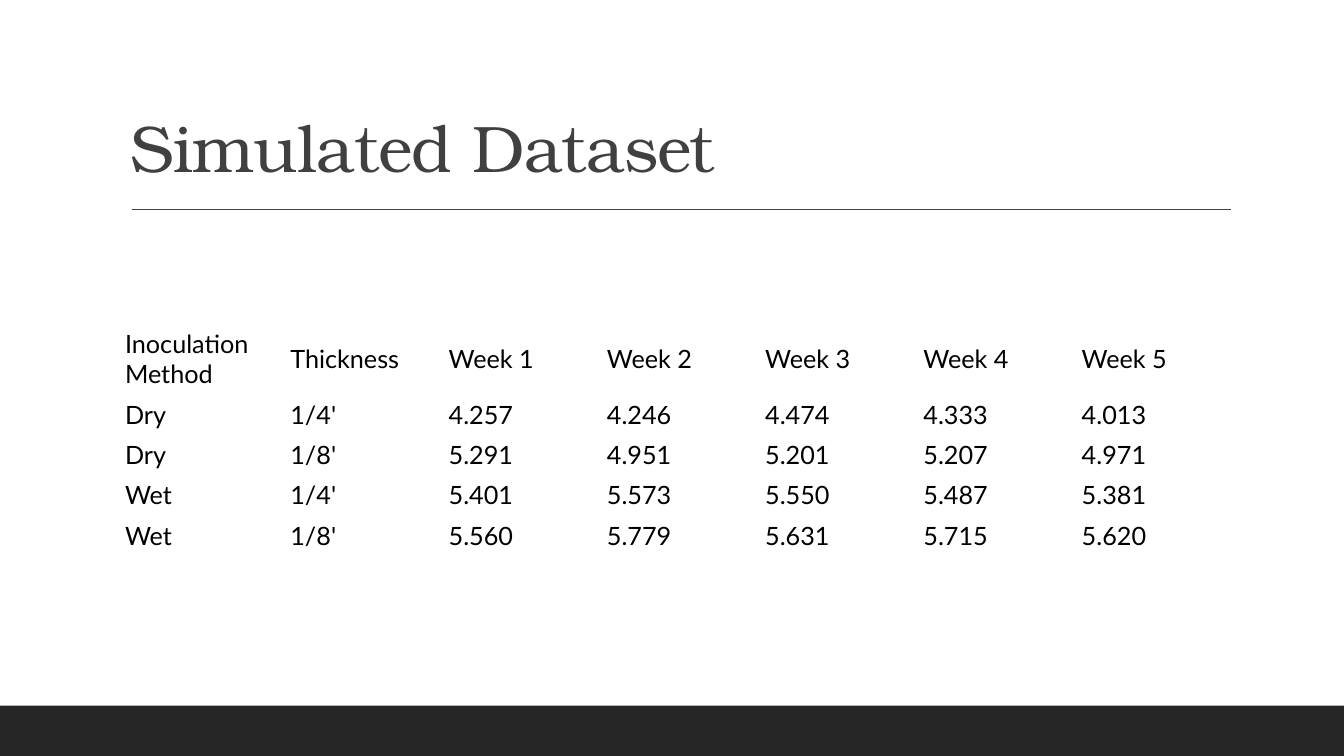
"""Build the simulated dataset slide."""
from lxml import etree
from pptx import Presentation
from pptx import util as u
from pptx.dml.color import RGBColor
from pptx.enum import shapes, text
from pptx.oxml.ns import qn

DATASET = [
    ["Inoculation Method", "Thickness"] + [f"Week {week}" for week in range(1, 6)],
    ["Dry", "1/4'", "4.257", "4.246", "4.474", "4.333", "4.013"],
    ["Dry", "1/8'", "5.291", "4.951", "5.201", "5.207", "4.971"],
    ["Wet", "1/4'", "5.401", "5.573", "5.550", "5.487", "5.381"],
    ["Wet", "1/8'", "5.560", "5.779", "5.631", "5.715", "5.620"],
]


def rgb(value):
    """Return the colour for a hex string."""
    return RGBColor.from_string(value)


def set_font(paragraph, name, size, color):
    """Set the font of a whole paragraph."""
    paragraph.font.name = name
    paragraph.font.size = u.Pt(size)
    paragraph.font.color.rgb = rgb(color)


def add_footer_band(slide, left, top, width, height, color):
    """Add a plain filled band."""
    band = slide.shapes.add_shape(
        shapes.MSO_SHAPE.RECTANGLE,
        u.Inches(left), u.Inches(top), u.Inches(width), u.Inches(height))
    band.shadow.inherit = False
    band.fill.solid()
    band.fill.fore_color.rgb = rgb(color)
    band.line.fill.background()


def add_rule(slide, left, right, y, color):
    """Add a thin horizontal line."""
    rule = slide.shapes.add_connector(
        shapes.MSO_CONNECTOR.STRAIGHT,
        u.Inches(left), u.Inches(y), u.Inches(right), u.Inches(y))
    rule.line.color.rgb = rgb(color)
    rule.line.width = u.Pt(1)
    etree.SubElement(rule._element.spPr, qn("a:effectLst"))


def add_title(slide, wording, left, top, width, height):
    """Add the slide title, resting on the bottom of its box."""
    frame = slide.shapes.add_textbox(
        u.Inches(left), u.Inches(top), u.Inches(width), u.Inches(height)).text_frame
    frame.word_wrap = True
    frame.vertical_anchor = text.MSO_ANCHOR.BOTTOM
    heading = frame.paragraphs[0]
    heading.line_spacing = 0.9
    run = heading.add_run()
    run.text = wording
    run._r.get_or_add_rPr().set("spc", "-50")
    set_font(heading, "TeX Gyre Bonum", 47, "404040")


def add_dataset(slide, rows, left, top, widths, heights):
    """Add the dataset as an unfilled table."""
    table = slide.shapes.add_table(
        len(rows), len(widths), u.Inches(left), u.Inches(top),
        u.Inches(sum(widths)), u.Inches(sum(heights))).table
    table.first_row = table.horz_banding = False
    for column, width in zip(table.columns, widths):
        column.width = u.Inches(width)
    for row, height, values in zip(table.rows, heights, rows):
        row.height = u.Inches(height)
        for cell, value in zip(row.cells, values):
            cell.text = value
            cell.fill.background()
            cell.vertical_anchor = text.MSO_ANCHOR.MIDDLE
            set_font(cell.text_frame.paragraphs[0], "Lato", 18, "000000")


def main():
    """Build and save the slide."""
    deck = Presentation()
    deck.slide_width, deck.slide_height = u.Inches(13.33), u.Inches(7.5)
    slide = deck.slides.add_slide(deck.slide_layouts[6])
    add_footer_band(slide, 0, 7, 13.33, 0.5, "262626")
    add_rule(slide, 1.31, 12.21, 2.08, "404040")
    add_title(slide, "Simulated Dataset", 1.2, 0.31, 11, 1.59)
    add_dataset(slide, DATASET, 1.14, 3.21, [1.64] + [1.57] * 6, [0.7] + [0.4] * 4)
    deck.save("out.pptx")


if __name__ == "__main__":
    main()
